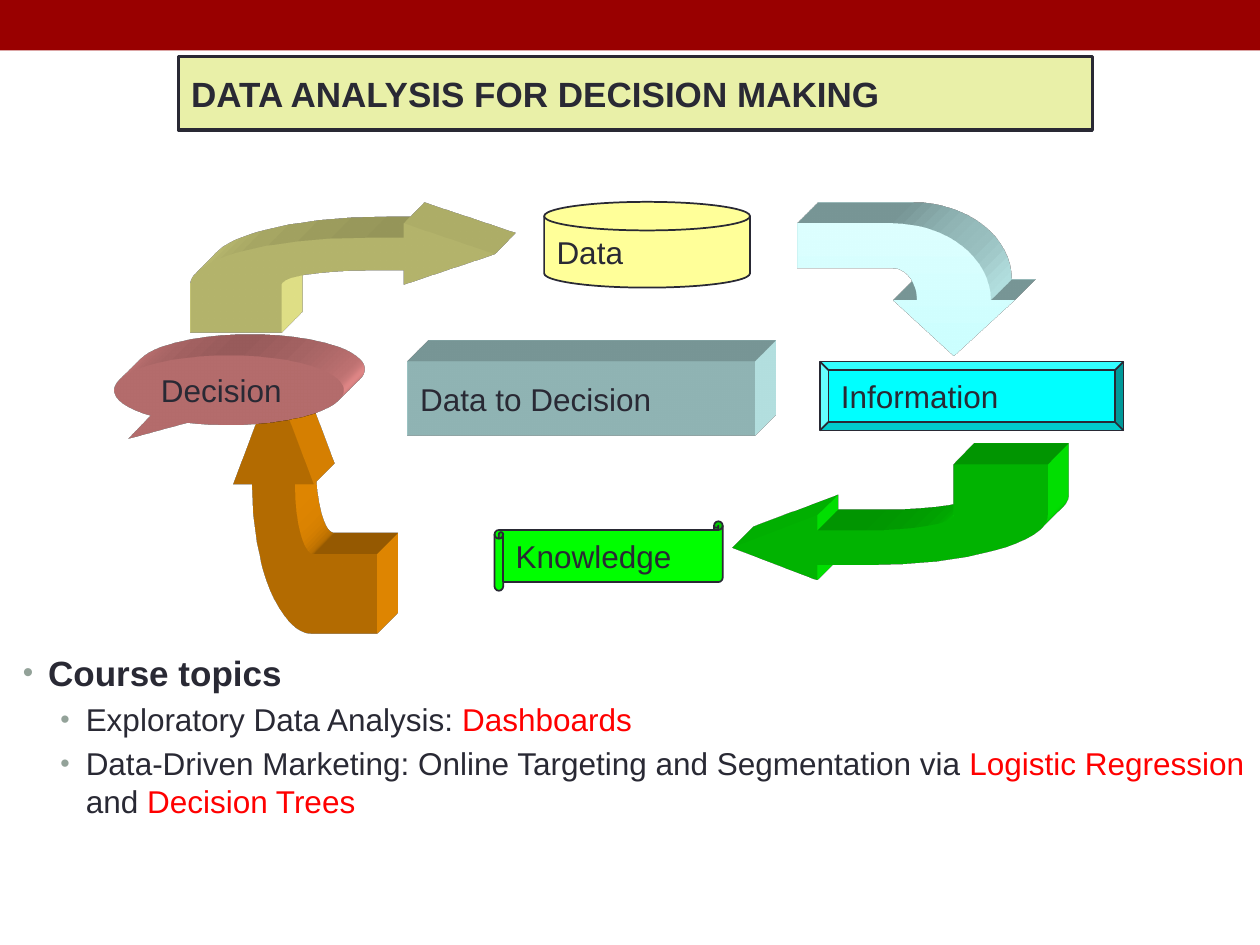
from dataclasses import dataclass

import lxml.etree
import pptx
import pptx.dml.color
import pptx.enum.shapes
import pptx.enum.text
import pptx.oxml
import pptx.oxml.ns
import pptx.util

Cm = pptx.util.Cm
Pt = pptx.util.Pt
SHAPE = pptx.enum.shapes.MSO_SHAPE
MIDDLE = pptx.enum.text.MSO_ANCHOR.MIDDLE
LEFT = pptx.enum.text.PP_ALIGN.LEFT
qn = pptx.oxml.ns.qn
rgb = pptx.dml.color.RGBColor.from_string


@dataclass(frozen=True)
class Theme:
    font: str = "Arial"
    ink: str = "292934"
    accent: str = "FF0000"
    bullet: str = "93A299"
    band: str = "990000"
    title_fill: str = "E9F0A8"
    yellow: str = "FFFF99"
    orange: str = "FF9900"
    green: str = "00FF00"
    cyan: str = "00FFFF"
    rose: str = "FF9999"
    ice: str = "CCFFFF"
    pale_ice: str = "DDFFFF"
    heading: int = 20
    body: int = 18


class Deck:
    def __init__(self, theme):
        self.theme = theme
        self.prs = pptx.Presentation()
        self.prs.slide_width, self.prs.slide_height = Cm(25.4), Cm(19.05)
        self.s = self.prs.slides.add_slide(self.prs.slide_layouts[5])

    def format_run(self, r, size, color, bold=False):
        r.font.name, r.font.size, r.font.bold = self.theme.font, Pt(size), bold
        r.font.color.rgb = rgb(color)

    def paint(self, sp, fill, line=None):
        sp.fill.solid()
        sp.fill.fore_color.rgb = rgb(fill)
        if line:
            sp.line.color.rgb = rgb(self.theme.ink)
            sp.line.width = Pt(line)
        else:
            sp.line.fill.background()

    def label(self, sp, text, size, bold=False):
        tf = sp.text_frame
        tf.text = text
        tf.word_wrap = False
        tf.vertical_anchor = MIDDLE
        tf.paragraphs[0].alignment = LEFT
        self.format_run(tf.paragraphs[0].runs[0], size, self.theme.ink, bold)

    def extrude(self, sp, color):
        ns = 'xmlns:a="http://schemas.openxmlformats.org/drawingml/2006/main"'
        for xml in (
            f'<a:scene3d {ns}><a:camera prst="legacyObliqueTopRight"/>'
            '<a:lightRig rig="legacyFlat3" dir="b"/></a:scene3d>',
            f'<a:sp3d {ns} extrusionH="430200" prstMaterial="legacyMatte">'
            '<a:bevelT w="13500" h="13500" prst="angle"/>'
            '<a:bevelB w="13500" h="13500" prst="angle"/>'
            f'<a:extrusionClr><a:srgbClr val="{color}"/></a:extrusionClr></a:sp3d>',
        ):
            sp._element.spPr.append(pptx.oxml.parse_xml(xml))

    def title(self, text, x, y, w, h):
        sp = self.s.shapes.title
        sp.left, sp.top, sp.width, sp.height = Cm(x), Cm(y), Cm(w), Cm(h)
        self.paint(sp, self.theme.title_fill, 2)
        self.label(sp, text, self.theme.heading, True)

    def shape(self, kind, x, y, w, h, fill, text=None, line=None, solid=False):
        sp = self.s.shapes.add_shape(kind, Cm(x), Cm(y), Cm(w), Cm(h))
        sp.shadow.inherit = False
        self.paint(sp, fill, line)
        if text:
            self.label(sp, text, self.theme.body)
        if solid:
            self.extrude(sp, fill)
        return sp

    def round_corners(self, sp, starts):
        lines = list(sp._element.iter(qn("a:lnTo")))
        for start in starts:
            curve = lxml.etree.Element(qn("a:cubicBezTo"))
            lines[start].addprevious(curve)
            for line in lines[start:start + 3]:
                curve.append(line[0])
                line.getparent().remove(line)

    def bent_arrow(self, x, y, w, h, head, fill, upright=False, gradient=None,
                   bend=0.425, stem=0.3, margin=0.13):
        k, turn, inside = 0.55, 0.56, 0.56 - margin
        outer = [(bend, margin), (bend + k * (1 - bend), margin),
                 (1, turn - k * (turn - margin)), (1, turn)]
        inner = [(1 - stem, turn), (1 - stem, turn - k * margin),
                 (bend + k * (1 - stem - bend), inside), (bend, inside)]
        outline = [(0, 0.28), (head, 0), (head, margin), *outer,
                   (1, 1), (1 - stem, 1), *inner, (head, inside), (head, turn)]
        if upright:
            outline = [(across, along) for along, across in outline]
        points = [(Cm(x + w * u), Cm(y + h * v)) for u, v in outline]
        builder = self.s.shapes.build_freeform(*points[0])
        builder.add_line_segments(points[1:], close=True)
        sp = builder.convert_to_shape()
        self.round_corners(sp, (3, 9))
        sp.shadow.inherit = False
        self.paint(sp, fill)
        if gradient:
            sp.fill.gradient()
            sp.fill.gradient_angle = 270
            for stop, color in zip(sp.fill.gradient_stops, (gradient, fill)):
                stop.color.rgb = rgb(color)
        self.extrude(sp, fill)

    def bullets(self, items, x, y, w, h):
        tf = self.s.shapes.add_textbox(Cm(x), Cm(y), Cm(w), Cm(h)).text_frame
        tf.word_wrap = True
        for i, (level, parts) in enumerate(items):
            p = tf.paragraphs[0] if i == 0 else tf.add_paragraph()
            size = self.theme.body if level else self.theme.heading
            p.level = level
            p.space_before = Pt(size * 0.2)
            for text, color in parts:
                r = p.add_run()
                r.text = text
                self.format_run(r, size, color, level == 0)
            pPr = p._p.get_or_add_pPr()
            pPr.set("marL", str(Cm(0.51 + 0.76 * level)))
            pPr.set("indent", str(Cm(-0.51)))
            color = lxml.etree.SubElement(pPr, qn("a:buClr"))
            lxml.etree.SubElement(color, qn("a:srgbClr")).set("val", self.theme.bullet)
            lxml.etree.SubElement(pPr, qn("a:buSzPct")).set("val", "85000")
            lxml.etree.SubElement(pPr, qn("a:buFont")).set("typeface", self.theme.font)
            lxml.etree.SubElement(pPr, qn("a:buChar")).set("char", "•")


def main():
    t = Theme()
    deck = Deck(t)
    deck.shape(SHAPE.RECTANGLE, 0, 0, 25.4, 1.02, t.band)
    deck.title("DATA ANALYSIS FOR DECISION MAKING", 3.6, 1.14, 18.42, 1.48)

    deck.bent_arrow(9.98, 4.51, -6.14, 2.19, 0.3, t.yellow)
    deck.bent_arrow(4.7, 7.6, 2.9, 5.18, 0.42, t.orange, upright=True, bend=0.42, stem=0.31)
    deck.bent_arrow(14.76, 11.68, 6.35, -2.31, 0.27, t.green)
    deck.bent_arrow(20.45, 7.17, -4.38, -2.67, 0.42, t.ice, upright=True,
                    gradient=t.pale_ice, bend=0.42, stem=0.34, margin=0.11)

    deck.shape(SHAPE.HORIZONTAL_SCROLL, 9.97, 10.51, 4.6, 1.4, t.green, "Knowledge", line=1)
    deck.shape(SHAPE.BEVEL, 16.53, 7.29, 6.12, 1.39, t.cyan, "Information", line=1)
    callout = deck.shape(SHAPE.OVAL_CALLOUT, 2.32, 7.16, 4.6, 1.4, t.rose, "Decision", solid=True)
    callout.adjustments[0], callout.adjustments[1] = -0.44, 0.7
    deck.shape(SHAPE.FLOWCHART_MAGNETIC_DISK, 10.97, 4.07, 4.15, 1.73, t.yellow, "Data", line=1)
    deck.shape(SHAPE.RECTANGLE, 8.22, 7.29, 7, 1.5, t.ice, "Data to Decision", solid=True)

    deck.bullets([
        (0, [("Course topics", t.ink)]),
        (1, [("Exploratory Data Analysis: ", t.ink), ("Dashboards", t.accent)]),
        (1, [("Data-Driven Marketing: Online Targeting and Segmentation via ", t.ink),
             ("Logistic Regression ", t.accent), ("and ", t.ink), ("Decision Trees", t.accent)]),
    ], 0.21, 13.01, 25.19, 9.32)
    deck.prs.save("out.pptx")


if __name__ == "__main__":
    main()
